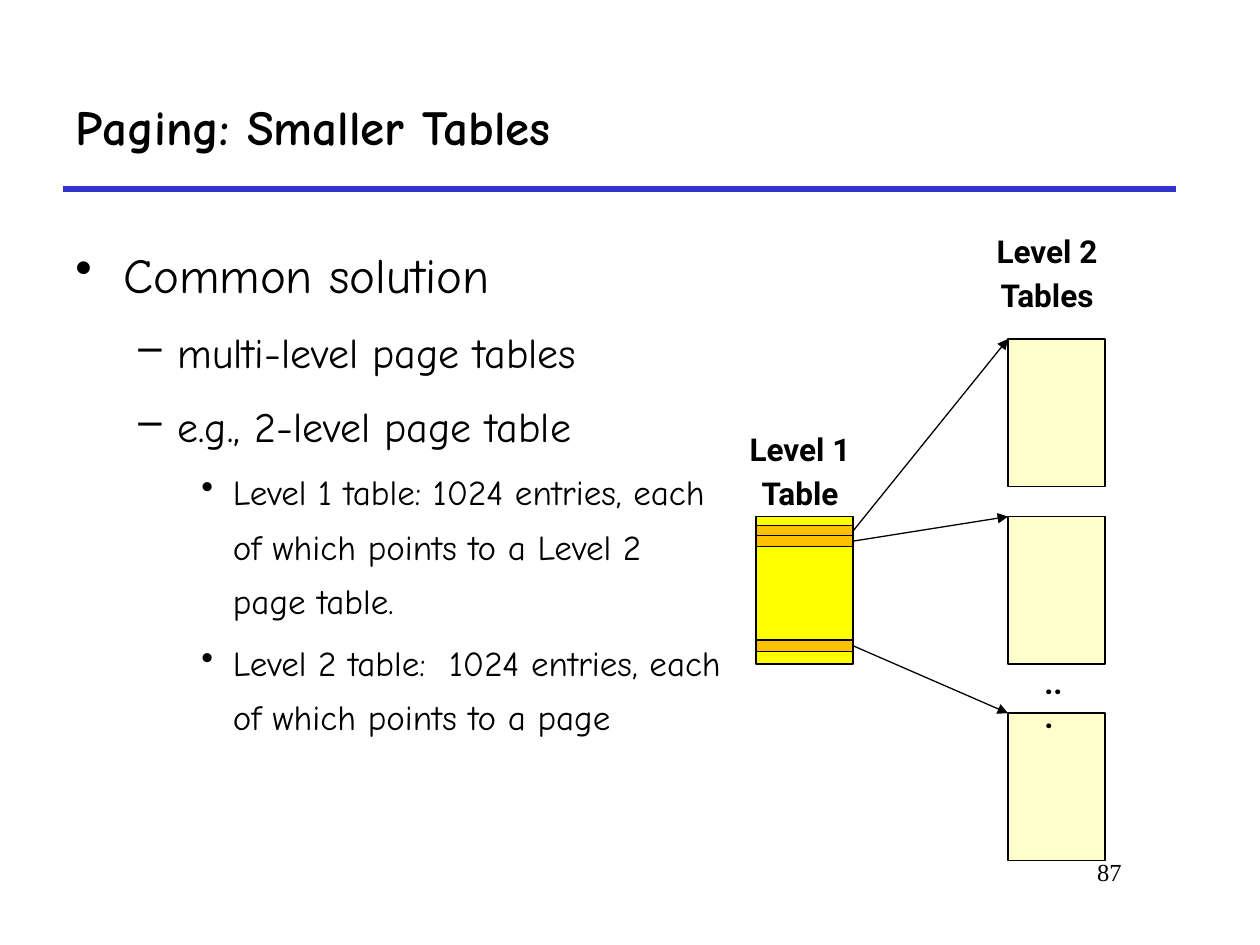
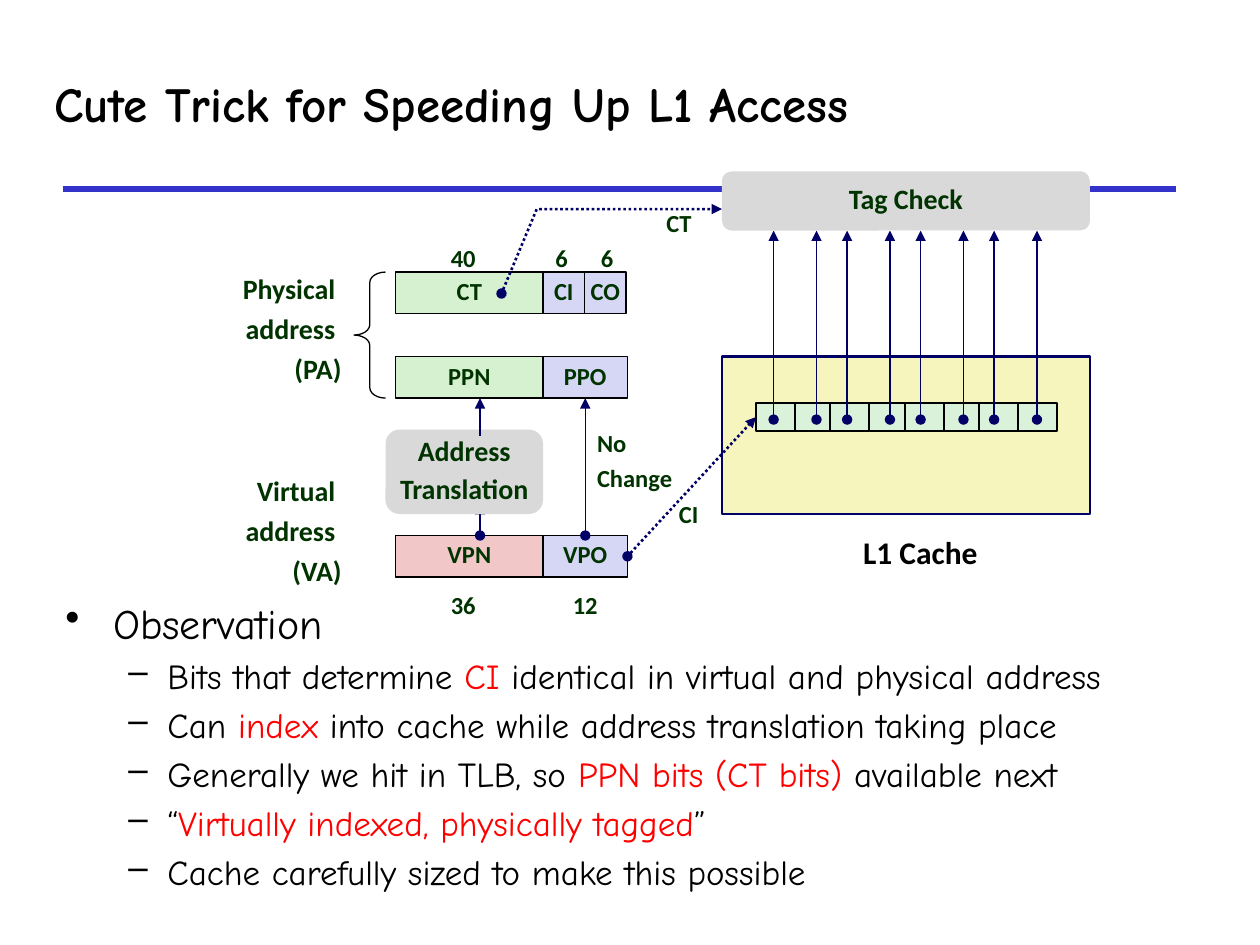
from dataclasses import dataclass
from typing import Optional

from lxml.etree import SubElement
from pptx import Presentation
from pptx.dml.color import RGBColor
from pptx.enum.dml import MSO_LINE_DASH_STYLE as Dash
from pptx.enum.shapes import MSO_CONNECTOR, MSO_SHAPE as Preset
from pptx.enum.text import MSO_ANCHOR as Anchor, MSO_AUTO_SIZE, PP_ALIGN as Align
from pptx.oxml.ns import qn
from pptx.util import Inches, Pt

BLACK = RGBColor(0x00, 0x00, 0x00)
RED = RGBColor(0xFF, 0x00, 0x00)
RULE_BLUE = RGBColor(0x33, 0x33, 0xCC)
NAVY = RGBColor(0x00, 0x00, 0x66)
DARK_GREEN = RGBColor(0x00, 0x33, 0x00)
YELLOW = RGBColor(0xFF, 0xFF, 0x00)
CREAM = RGBColor(0xFF, 0xFF, 0xCC)
ORANGE = RGBColor(0xFF, 0xC0, 0x00)
GREEN = RGBColor(0xD5, 0xF1, 0xCF)
LAVENDER = RGBColor(0xD6, 0xD6, 0xF5)
PINK = RGBColor(0xF1, 0xC7, 0xC7)
GREY = RGBColor(0xD9, 0xD9, 0xD9)
CACHE_YELLOW = RGBColor(0xF6, 0xF5, 0xBD)
CELL_GREEN = RGBColor(0xDB, 0xF2, 0xDA)

BODY_FONT = "Comic Neue"
TITLE_ONLY_LAYOUT = 5


@dataclass(frozen=True)
class TextStyle:
    font: str
    size: float
    color: RGBColor = BLACK
    bold: bool = True
    align: Align = Align.LEFT
    line_spacing: float = 1.0
    space_before: float = 0


@dataclass(frozen=True)
class Bullet:
    """One body line; the parts between bars are red."""
    text: str
    size: int
    level: int = 0


@dataclass(frozen=True)
class BulletLevel:
    mark: str
    margin: float
    hanging: float


@dataclass(frozen=True)
class Label:
    text: str
    left: float
    top: float
    width: float
    height: float
    style: TextStyle
    wrap: bool = False


@dataclass(frozen=True)
class Box:
    left: float
    top: float
    width: float
    height: float
    fill: Optional[RGBColor]
    text: str = ""
    style: Optional[TextStyle] = None
    line: Optional[RGBColor] = BLACK
    line_width: float = 0.75
    preset: Preset = Preset.RECTANGLE


LEVELS = (BulletLevel("•", 0.38, 0.38), BulletLevel("–", 0.81, 0.31),
          BulletLevel("•", 1.25, 0.25))

TITLE = TextStyle(BODY_FONT, 28)
PAGE_NUMBER = TextStyle("Times New Roman", 14, bold=False, align=Align.RIGHT)
TABLE_NAME = TextStyle("Roboto", 18, align=Align.CENTER, line_spacing=0.9, space_before=5.4)
DOTS = TextStyle("Roboto", 18, line_spacing=0.9)
NOTE = TextStyle("Calibri", 14, DARK_GREEN, line_spacing=0.88, space_before=5.2)
FIELD = TextStyle("Calibri", 14, DARK_GREEN, True, Align.CENTER, 0.88, 5.2)
STEP = TextStyle("Calibri", 16, DARK_GREEN, True, Align.CENTER, 0.88, 5.2)
ADDRESS = TextStyle("Calibri", 16, DARK_GREEN, True, Align.RIGHT, 0.88, 6)
CACHE_NAME = TextStyle("Calibri", 18, align=Align.CENTER)


def write(text_frame, text: str, style: TextStyle) -> None:
    text_frame.text = text
    for index, paragraph in enumerate(text_frame.paragraphs):
        paragraph.alignment = style.align
        paragraph.line_spacing = style.line_spacing
        paragraph.space_before = Pt(style.space_before if index else 0)
        for run in paragraph.runs:
            format_run(run, style.font, style.size, style.color, style.bold)


def format_run(run, font: str, size: float, color: RGBColor, bold: bool) -> None:
    run.font.name = font
    run.font.size = Pt(size)
    run.font.bold = bold
    run.font.color.rgb = color


def add_label(slide, label: Label) -> None:
    shape = slide.shapes.add_textbox(*map(Inches, (label.left, label.top, label.width, label.height)))
    shape.text_frame.word_wrap = label.wrap
    write(shape.text_frame, label.text, label.style)


def add_box(slide, box: Box):
    shape = slide.shapes.add_shape(box.preset, *map(Inches, (box.left, box.top, box.width, box.height)))
    shape.shadow.inherit = False
    if box.fill is None:
        shape.fill.background()
    else:
        shape.fill.solid()
        shape.fill.fore_color.rgb = box.fill
    if box.line is None:
        shape.line.fill.background()
    else:
        shape.line.color.rgb = box.line
        shape.line.width = Pt(box.line_width)
    if box.text:
        shape.text_frame.word_wrap = False
        shape.text_frame.vertical_anchor = Anchor.MIDDLE
        write(shape.text_frame, box.text, box.style)
    return shape


def style_line(shape, color: RGBColor, width: float, dotted: bool = False,
               head: str = "none", tail: str = "none") -> None:
    shape.line.color.rgb = color
    shape.line.width = Pt(width)
    if dotted:
        shape.line.dash_style = Dash.ROUND_DOT
    outline = shape._element.spPr.find(qn("a:ln"))
    SubElement(outline, qn("a:headEnd"), type=head)
    SubElement(outline, qn("a:tailEnd"), type=tail)


def add_line(slide, start: tuple[float, float], end: tuple[float, float], color: RGBColor,
             width: float = 0.75, dotted: bool = False, head: str = "none", tail: str = "triangle"):
    connector = slide.shapes.add_connector(MSO_CONNECTOR.STRAIGHT, *map(Inches, start + end))
    style_line(connector, color, width, dotted, head, tail)
    SubElement(connector._element.spPr, qn("a:effectLst"))
    return connector


def add_titled_slide(presentation, title: str, left: float, top: float, width: float, height: float):
    slide = presentation.slides.add_slide(presentation.slide_layouts[TITLE_ONLY_LAYOUT])
    add_line(slide, (0.5, 1.5), (9.33, 1.5), RULE_BLUE, 3, tail="none")
    shape = slide.shapes.title
    shape.left, shape.top, shape.width, shape.height = map(Inches, (left, top, width, height))
    shape.text_frame.auto_size = MSO_AUTO_SIZE.NONE
    shape.text_frame.vertical_anchor = Anchor.MIDDLE
    write(shape.text_frame, title, TITLE)
    return slide


def add_bullets(slide, left: float, top: float, width: float, height: float,
                bullets: list[Bullet], line_spacing: float) -> None:
    text_frame = slide.shapes.add_textbox(*map(Inches, (left, top, width, height))).text_frame
    text_frame.word_wrap = True
    for index, bullet in enumerate(bullets):
        paragraph = text_frame.add_paragraph() if index else text_frame.paragraphs[0]
        level = LEVELS[bullet.level]
        paragraph.level = bullet.level
        properties = paragraph._p.get_or_add_pPr()
        properties.set("marL", str(Inches(level.margin)))
        properties.set("indent", str(-Inches(level.hanging)))
        SubElement(properties, qn("a:buChar"), char=level.mark)
        paragraph.line_spacing = line_spacing
        paragraph.space_before = Pt(0.2 * bullet.size if index else 0)
        for part, text in enumerate(bullet.text.split("|")):
            run = paragraph.add_run()
            run.text = text
            format_run(run, BODY_FONT, bullet.size, RED if part % 2 else BLACK, False)


def add_paging_slide(presentation) -> None:
    slide = add_titled_slide(presentation, "Paging: Smaller Tables", 0.5, 0.5, 8.83, 1)
    add_label(slide, Label("87", 7.58, 6.75, 1.42, 0.5, PAGE_NUMBER, wrap=True))
    add_bullets(slide, 0.5, 1.75, 5.33, 4.83, [
        Bullet("Common solution", 28),
        Bullet("multi-level page tables", 24, 1),
        Bullet("e.g., 2-level page table", 24, 1),
        Bullet("Level 1 table: 1024 entries, each of which points to a Level 2 page table.", 20, 2),
        Bullet("Level 2 table:  1024 entries, each of which points to a page", 20, 2),
    ], 1.3)

    table_width, table_height, entry_height = 0.77, 1.17, 0.09
    level1_left, level2_left = 6, 8
    add_box(slide, Box(level1_left, 4.1, table_width, table_height, YELLOW))
    for entry_top, level2_top in ((4.17, 2.69), (4.25, 4.1), (5.08, 5.66)):
        add_box(slide, Box(level2_left, level2_top, table_width, table_height, CREAM))
        add_box(slide, Box(level1_left, entry_top, table_width, entry_height, ORANGE))
        add_line(slide, (level1_left + table_width, entry_top + entry_height / 2),
                 (level2_left, level2_top), BLACK)
    for label in (
        Label("Level 1\nTable", 5.83, 3.4, 1.04, 0.73, TABLE_NAME),
        Label("Level 2\nTables", 7.79, 1.83, 1.04, 0.73, TABLE_NAME),
        Label("...", 8.19, 5.25, 0.41, 0.37, DOTS, wrap=True),
    ):
        add_label(slide, label)


def add_cache_slide(presentation) -> None:
    slide = add_titled_slide(presentation, "Cute Trick for Speeding Up L1 Access", 0.33, 0.5, 8.67, 0.63)
    add_bullets(slide, 0.42, 4.69, 9.35, 2.56, [
        Bullet("Observation", 24),
        Bullet("Bits that determine |CI| identical in virtual and physical address", 20, 1),
        Bullet("Can |index| into cache while address translation taking place", 20, 1),
        Bullet("Generally we hit in TLB, so |PPN bits (CT bits) |available next", 20, 1),
        Bullet("“|Virtually indexed, physically tagged|”", 20, 1),
        Bullet("Cache carefully sized to make this possible", 20, 1),
    ], 1.0)

    page_left, offset_left, field_height = 3.14, 4.31, 0.33
    fields = {
        text: add_box(slide, Box(left, top, width, field_height, fill, text, FIELD))
        for text, left, top, width, fill in (
            ("CT", page_left, 2.16, 1.17, GREEN),
            ("CI", offset_left, 2.16, 0.33, LAVENDER),
            ("CO", 4.64, 2.16, 0.33, LAVENDER),
            ("PPN", page_left, 2.83, 1.17, GREEN),
            ("PPO", offset_left, 2.83, 0.67, LAVENDER),
            ("VPN", page_left, 4.25, 1.17, PINK),
            ("VPO", offset_left, 4.25, 0.67, LAVENDER),
        )
    }
    brace = add_box(slide, Box(2.81, 2.16, 0.25, 1, None, preset=Preset.LEFT_BRACE))
    brace.adjustments[0] = 0.33

    add_line(slide, (3.81, 4.25), (3.81, 4), NAVY, head="oval")
    add_box(slide, Box(3.06, 3.41, 1.25, 0.67, GREY, "Address\nTranslation", STEP, None,
                       preset=Preset.ROUNDED_RECTANGLE))
    add_line(slide, (3.81, 3.46), (3.81, 3.16), NAVY)
    no_change = add_line(slide, (4.64, 4.25), (4.64, 3.16), NAVY, head="oval")
    no_change.begin_connect(fields["VPO"], 0)
    no_change.end_connect(fields["PPO"], 2)

    add_box(slide, Box(5.73, 2.83, 2.92, 1.25, CACHE_YELLOW, line=NAVY, line_width=1.5))
    cells = [
        add_box(slide, Box(6 + 0.59 * pair + offset, 3.2, 0.31, 0.22, CELL_GREEN, line_width=1))
        for pair in range(4) for offset in (0, 0.31)
    ]
    cache_index = add_line(slide, (4.98, 4.42), (6, 3.31), NAVY, 1.5, True, "oval")
    cache_index.begin_connect(fields["VPO"], 3)
    cache_index.end_connect(cells[0], 1)
    for pair in range(4):
        for offset in (0, 0.34):
            tag_left = 6.14 + 1.75 * pair / 3 + offset
            add_line(slide, (tag_left, 3.33), (tag_left, 1.83), NAVY, head="oval")

    builder = slide.shapes.build_freeform(Inches(3.98), Inches(2.33))
    builder.add_line_segments([(Inches(4.26), Inches(1.66)), (Inches(5.73), Inches(1.66))], close=False)
    tag_route = builder.convert_to_shape()
    tag_route.shadow.inherit = False
    tag_route.fill.background()
    style_line(tag_route, NAVY, 1.5, True, "oval", "triangle")
    add_box(slide, Box(5.73, 1.36, 2.92, 0.47, GREY, "Tag Check", STEP, None,
                       preset=Preset.ROUNDED_RECTANGLE))

    for label in (
        Label("Physical \naddress \n(PA)", 0.08, 2.14, 2.73, 0.98, ADDRESS, wrap=True),
        Label("Virtual \naddress \n(VA)", 1.64, 3.74, 1.17, 0.98, ADDRESS, wrap=True),
        Label("40", 3.48, 1.91, 0.4, 0.31, NOTE),
        Label("6", 4.31, 1.91, 0.3, 0.31, NOTE),
        Label("6", 4.67, 1.91, 0.3, 0.31, NOTE),
        Label("36", 3.48, 4.66, 0.4, 0.31, NOTE),
        Label("12", 4.31, 4.66, 0.67, 0.31, FIELD, wrap=True),
        Label("No\nChange", 4.64, 3.38, 0.8, 0.59, NOTE),
        Label("CI", 5.29, 3.94, 0.36, 0.3, NOTE),
        Label("CT", 5.19, 1.63, 0.4, 0.31, NOTE),
        Label("L1 Cache", 6.64, 4.18, 1.33, 0.4, CACHE_NAME, wrap=True),
    ):
        add_label(slide, label)


def main() -> None:
    presentation = Presentation()
    presentation.slide_width = Inches(10)
    presentation.slide_height = Inches(7.5)
    add_paging_slide(presentation)
    add_cache_slide(presentation)
    presentation.save("out.pptx")


if __name__ == "__main__":
    main()
